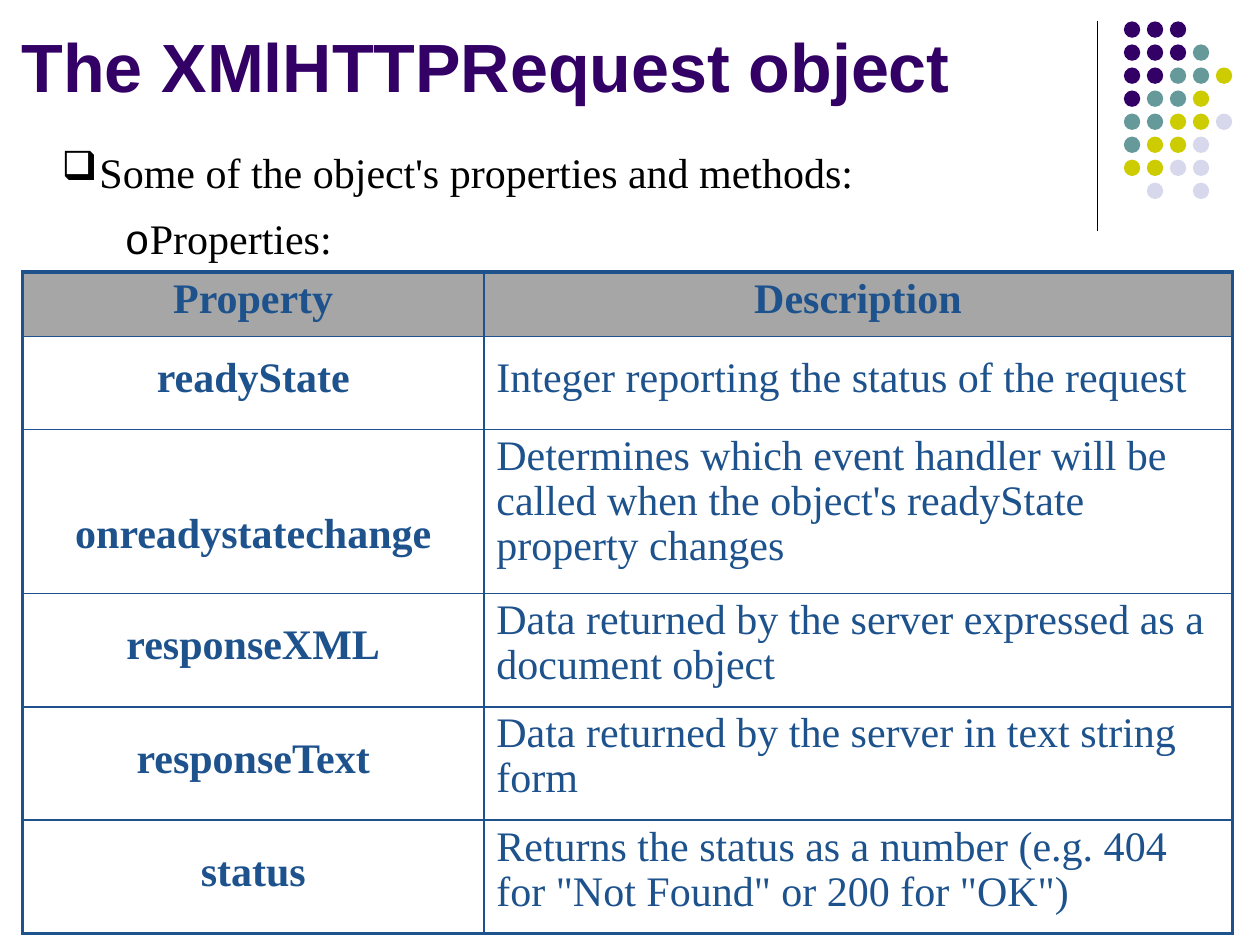
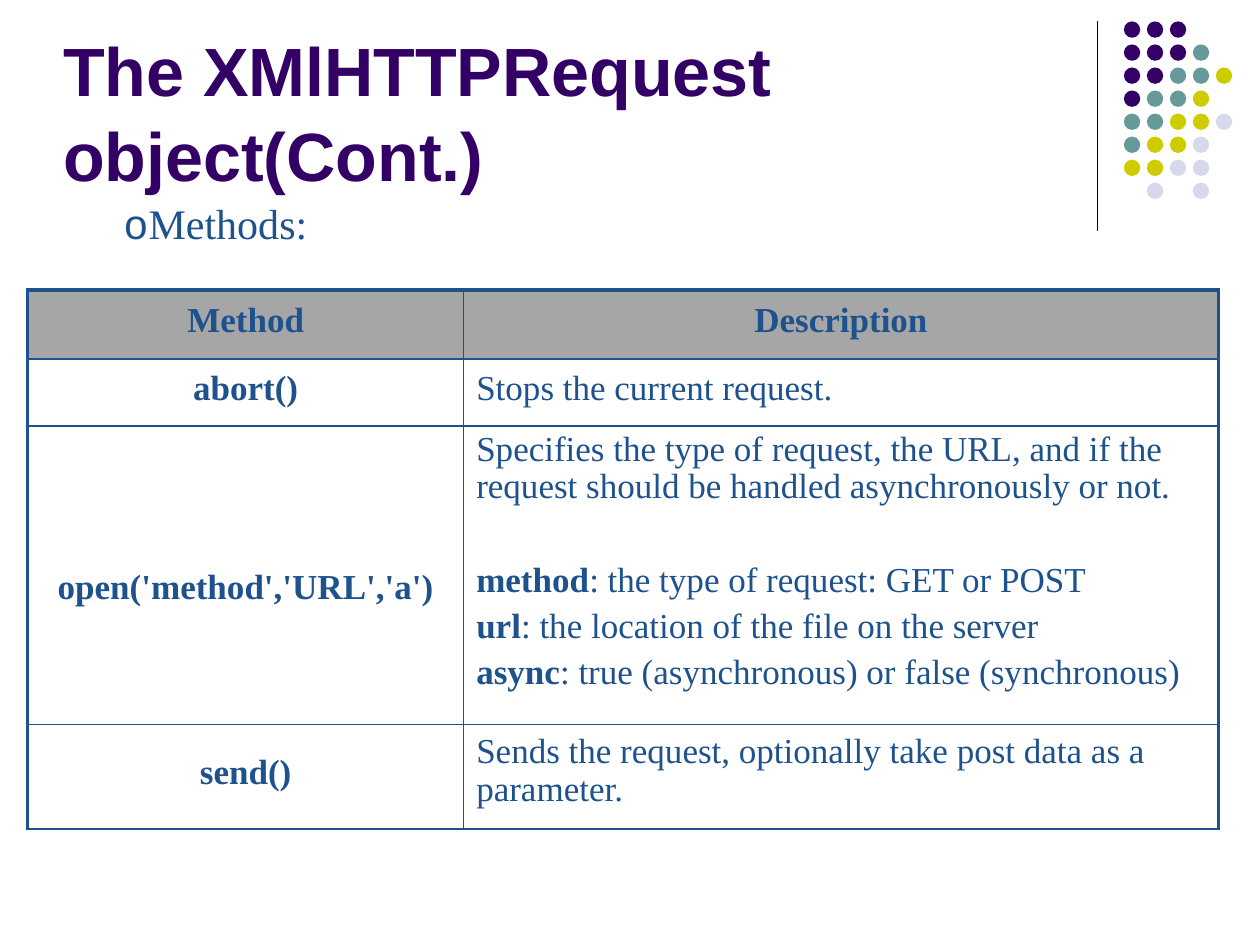
from lxml import etree
from pptx import Presentation
from pptx import util as u
from pptx.dml.color import RGBColor
from pptx.enum import shapes, text
from pptx.oxml import ns

PURPLE, BLUE, GRAY, BLACK = "330066", "1D528D", "A6A6A6", "000000"
DOT_COLORS = {"P": PURPLE, "T": "669999", "Y": "CCCC00", "L": "D8D8EC"}
DOT_ROWS = ["PPP", "PPPT", "PPTTY", "PTTY", "TTYYL", "TYYL", "YYLL", " L L"]
SERIF = "Times New Roman"
THICK, THIN = 2.25, 1


def color(value):
    return RGBColor.from_string(value)


def child(parent, tag, **attributes):
    return etree.SubElement(parent, ns.qn(tag), attributes)


class Deck:
    def __init__(self):
        self.presentation = Presentation()
        self.presentation.slide_width = u.Inches(10)
        self.presentation.slide_height = u.Inches(7.5)
        self.slide = None

    def new_slide(self):
        layout = self.presentation.slide_layouts[6]
        self.slide = self.presentation.slides.add_slide(layout)
        self.divider()
        self.dots()

    def divider(self):
        line = self.slide.shapes.add_connector(
            shapes.MSO_CONNECTOR.STRAIGHT,
            u.Inches(8.71), u.Inches(0.17), u.Inches(8.71), u.Inches(1.83))
        line.line.color.rgb = color(BLACK)
        line.line.width = u.Pt(0.75)
        child(line._element.spPr, "a:effectLst")

    def dots(self):
        for row, pattern in enumerate(DOT_ROWS):
            for column, key in enumerate(pattern):
                if key == " ":
                    continue
                dot = self.slide.shapes.add_shape(
                    shapes.MSO_SHAPE.OVAL,
                    u.Inches(8.92 + column * 0.73 / 4),
                    u.Inches(0.17 + row * 1.28 / 7),
                    u.Inches(0.13), u.Inches(0.13))
                dot.shadow.inherit = False
                dot.fill.solid()
                dot.fill.fore_color.rgb = color(DOT_COLORS[key])
                dot.line.fill.background()

    def run(self, paragraph, content, size, fill, font=SERIF, bold=False):
        first = len(paragraph.runs)
        if first:
            paragraph.add_run().text = content
        else:
            paragraph.text = content
        for run in paragraph.runs[first:]:
            run.font.name = font
            run.font.size = u.Pt(size)
            run.font.bold = bold
            run.font.color.rgb = color(fill)

    def text_box(self, left, top, width, height, inset):
        box = self.slide.shapes.add_textbox(
            u.Inches(left), u.Inches(top), u.Inches(width), u.Inches(height))
        frame = box.text_frame
        frame.word_wrap = True
        frame.margin_left = frame.margin_right = frame.margin_bottom = 0
        frame.margin_top = u.Inches(inset)
        return frame

    def title(self, content, left, top, width, height):
        frame = self.text_box(left, top, width, height, 0.01)
        frame.vertical_anchor = text.MSO_ANCHOR.BOTTOM
        paragraph = frame.paragraphs[0]
        paragraph.line_spacing = 1.04
        self.run(paragraph, content, 39, PURPLE, "Arial", True)

    def bullet(self, paragraph, content):
        self.run(paragraph, content, 24, BLACK)
        properties = paragraph._p.get_or_add_pPr()
        properties.set("marL", str(u.Inches(0.31)))
        properties.set("indent", str(u.Inches(-0.3)))
        child(properties, "a:buSzPct", val="96000")
        child(properties, "a:buChar", char="❑")

    def sub_bullet(self, paragraph, content, fill, indent=0):
        self.run(paragraph, "o", 24, fill, "Courier New")
        self.run(paragraph, content, 24, fill)
        paragraph._p.get_or_add_pPr().set("marL", str(u.Inches(indent)))

    def borders(self, cell, widths):
        properties = cell._tc.get_or_add_tcPr()
        for position, (side, width) in enumerate(zip("LRTB", widths)):
            line = etree.Element(ns.qn(f"a:ln{side}"), w=str(u.Pt(width)))
            child(child(line, "a:solidFill"), "a:srgbClr", val=BLUE)
            properties.insert(position, line)

    def cell(self, cell, inset, paragraphs, size, align):
        cell.margin_left = u.Inches(0.1 if align == text.PP_ALIGN.LEFT else 0)
        cell.margin_right = cell.margin_bottom = 0
        cell.margin_top = u.Inches(inset)
        cell.vertical_anchor = text.MSO_ANCHOR.TOP
        frame = cell.text_frame
        for index, (label, body, before) in enumerate(paragraphs):
            paragraph = frame.add_paragraph() if index else frame.paragraphs[0]
            paragraph.alignment = align
            paragraph.line_spacing = 0.97
            paragraph.space_before = u.Pt(before)
            if label:
                self.run(paragraph, label, size, BLUE, bold=True)
            if body:
                self.run(paragraph, body, size, BLUE)

    def table(self, left, top, widths, size, rows, bottom):
        table = self.slide.shapes.add_table(
            len(rows), 2, u.Inches(left), u.Inches(top),
            u.Inches(sum(widths)), u.Inches(sum(row[0] for row in rows))).table
        table.first_row = table.horz_banding = False
        for column, width in zip(table.columns, widths):
            column.width = u.Inches(width)
        last = len(rows) - 1
        for index, (height, *entries) in enumerate(rows):
            table.rows[index].height = u.Inches(height)
            for column, (inset, content) in enumerate(entries):
                cell = table.cell(index, column)
                heading = index == 0
                centered = heading or column == 0
                if isinstance(content, str):
                    pair = (content, "") if centered else ("", content)
                    content = [(*pair, 0)]
                align = text.PP_ALIGN.CENTER if centered else text.PP_ALIGN.LEFT
                self.cell(cell, inset, content, size, align)
                if heading:
                    cell.fill.solid()
                    cell.fill.fore_color.rgb = color(GRAY)
                else:
                    cell.fill.background()
                self.borders(cell, (
                    THIN if column else THICK,
                    THICK if column else THIN,
                    THICK if heading else THIN,
                    bottom if index == last else THIN))


def properties_slide(deck):
    deck.new_slide()
    deck.title("The XMlHTTPRequest object", 0.17, 0.17, 9.42, 0.67)
    frame = deck.text_box(0.48, 1.02, 6.3, 1.09, 0.14)
    deck.bullet(frame.paragraphs[0], "Some of the object's properties and methods:")
    paragraph = frame.add_paragraph()
    paragraph.space_before = u.Pt(9.2)
    deck.sub_bullet(paragraph, "Properties:", BLACK, 0.51)
    deck.table(0.18, 2.16, (3.66, 5.94), 24, [
        (0.51, (0.04, "Property"), (0.04, "Description")),
        (0.74, (0.16, "readyState"),
         (0.16, "Integer reporting the status of the request")),
        (1.3, (0.66, "onreadystatechange"),
         (0.04, "Determines which event handler will be\vcalled when the "
                "object's readyState\vproperty changes")),
        (0.9, (0.24, "responseXML"),
         (0.04, "Data returned by the server expressed as a\vdocument object")),
        (0.9, (0.24, "responseText"),
         (0.04, "Data returned by the server in text string\vform")),
        (0.9, (0.24, "status"),
         (0.04, "Returns the status as a number (e.g. 404\v"
                "for \"Not Found\" or 200 for \"OK\")")),
    ], THICK)


def methods_slide(deck):
    deck.new_slide()
    deck.title("The XMlHTTPRequest object(Cont.)", 0.5, 0.13, 8.25, 1.42)
    frame = deck.text_box(0.98, 1.56, 1.49, 0.43, 0.01)
    deck.sub_bullet(frame.paragraphs[0], "Methods:", BLUE)
    open_description = [
        ("", "Specifies the type of request, the URL, and if the\v"
             "request should be handled asynchronously or not.", 0),
        ("method", ": the type of request: GET or POST", 32),
        ("url", ": the location of the file on the server", 4.8),
        ("async", ": true (asynchronous) or false (synchronous)", 4.8),
    ]
    deck.table(0.22, 2.3, (3.46, 5.99), 20, [
        (0.55, (0.1, "Method"), (0.1, "Description")),
        (0.53, (0.09, "abort()"), (0.09, "Stops the current request.")),
        (2.37, (1.14, "open('method','URL','a')"), (0.04, open_description)),
        (0.83, (0.24, "send()"),
         (0.07, "Sends the request, optionally take post data as a\vparameter.")),
    ], THIN)


def main():
    deck = Deck()
    properties_slide(deck)
    methods_slide(deck)
    deck.presentation.save("out.pptx")


if __name__ == "__main__":
    main()
